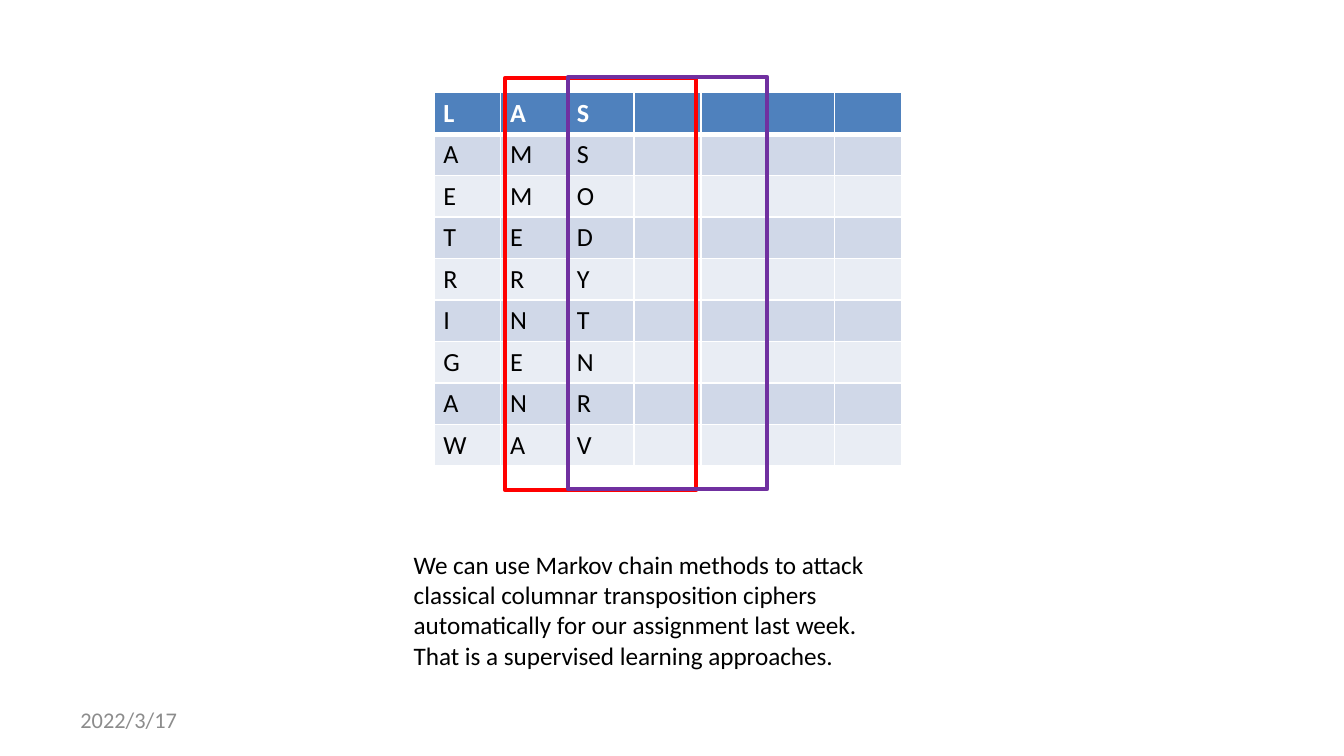
import pptx
import pptx.util
import pptx.dml.color
import pptx.enum.shapes
import pptx.enum.text
import pptx.oxml.xmlchemy
from lxml import etree

Cm = pptx.util.Cm
Pt = pptx.util.Pt
RGBColor = pptx.dml.color.RGBColor
ANCHOR = pptx.enum.text.MSO_ANCHOR
A = "{http://schemas.openxmlformats.org/drawingml/2006/main}"

WHITE = RGBColor(0xFF, 0xFF, 0xFF)
BLACK = RGBColor(0, 0, 0)
GREY = RGBColor(0x8C, 0x8C, 0x8C)
HEADER = RGBColor(0x4F, 0x81, 0xBD)
BANDS = [RGBColor(0xE9, 0xED, 0xF4), RGBColor(0xD0, 0xD8, 0xE8)]
RED = RGBColor(0xFF, 0, 0)
PURPLE = RGBColor(0x70, 0x30, 0xA0)

LETTERS = ["LAS", "AMS", "EMO", "TED", "RRY", "INT", "GEN", "ANR", "WAV"]
COLUMNS = 7
TABLE = (8.2, 1.75, 8.84, 7.06)
WINDOWS = [
    (RED, (9.55, 1.47, 3.61, 7.8)),
    (PURPLE, (10.74, 1.45, 3.76, 7.8)),
]
TEXTS = [
    ("2022/3/17", (1.27, 13.23, 5.92, 0.76),
     dict(size=12, color=GREY, anchor=ANCHOR.MIDDLE)),
    ("We can use Markov chain methods to attack classical columnar "
     "transposition ciphers automatically for our assignment last week. "
     "That is a supervised learning approaches.",
     (7.57, 10.26, 9.52, 2.57), dict(size=13.5)),
]


def box(lengths):
    return [Cm(v) for v in lengths]


def write(tf, text, size=14, color=BLACK, bold=False, anchor=ANCHOR.TOP):
    tf.word_wrap = True
    tf.vertical_anchor = anchor
    p = tf.paragraphs[0]
    if not text:
        etree.SubElement(p._p, A + "endParaRPr", sz=str(int(size * 100)))
        return
    r = p.add_run()
    r.text = text
    r.font.name = "Calibri"
    r.font.size = Pt(size)
    r.font.bold = bold
    r.font.color.rgb = color


def add_borders(cell, widths):
    tcPr = cell._tc.get_or_add_tcPr()
    for side, width in widths.items():
        ln = etree.SubElement(tcPr, A + "ln" + side, w=str(Pt(width)))
        fill = etree.SubElement(ln, A + "solidFill")
        etree.SubElement(fill, A + "srgbClr", val=str(WHITE))


def add_cipher_table(s):
    rows = len(LETTERS)
    x, y, w, h = TABLE
    table = s.shapes.add_table(rows, COLUMNS, *box(TABLE)).table
    for column in table.columns:
        column.width = Cm(w / COLUMNS)
    for i, letters in enumerate(LETTERS):
        table.rows[i].height = Cm(h / rows)
        header = i == 0
        for j, letter in enumerate(letters.ljust(COLUMNS)):
            cell = table.cell(i, j)
            cell.margin_left = cell.margin_right = Cm(0.18)
            cell.margin_top = cell.margin_bottom = Cm(0.09)
            add_borders(cell, {"L": 1, "R": 1, "T": 3 if i == 1 else 1,
                               "B": 3 if header else 1})
            cell.fill.solid()
            cell.fill.fore_color.rgb = HEADER if header else BANDS[i % 2]
            write(cell.text_frame, letter.strip(), bold=header,
                  color=WHITE if header else BLACK)


def main():
    prs = pptx.Presentation()
    prs.slide_width, prs.slide_height = Cm(25.4), Cm(14.29)
    s = prs.slides.add_slide(prs.slide_layouts[6])
    add_cipher_table(s)
    for color, place in WINDOWS:
        sp = s.shapes.add_shape(
            pptx.enum.shapes.MSO_SHAPE.RECTANGLE, *box(place))
        sp.shadow.inherit = False
        sp.fill.background()
        sp.line.color.rgb = color
        sp.line.width = Pt(2)
    for text, place, style in TEXTS:
        sp = s.shapes.add_textbox(*box(place))
        write(sp.text_frame, text, **style)
    prs.save("out.pptx")


if __name__ == "__main__":
    main()
